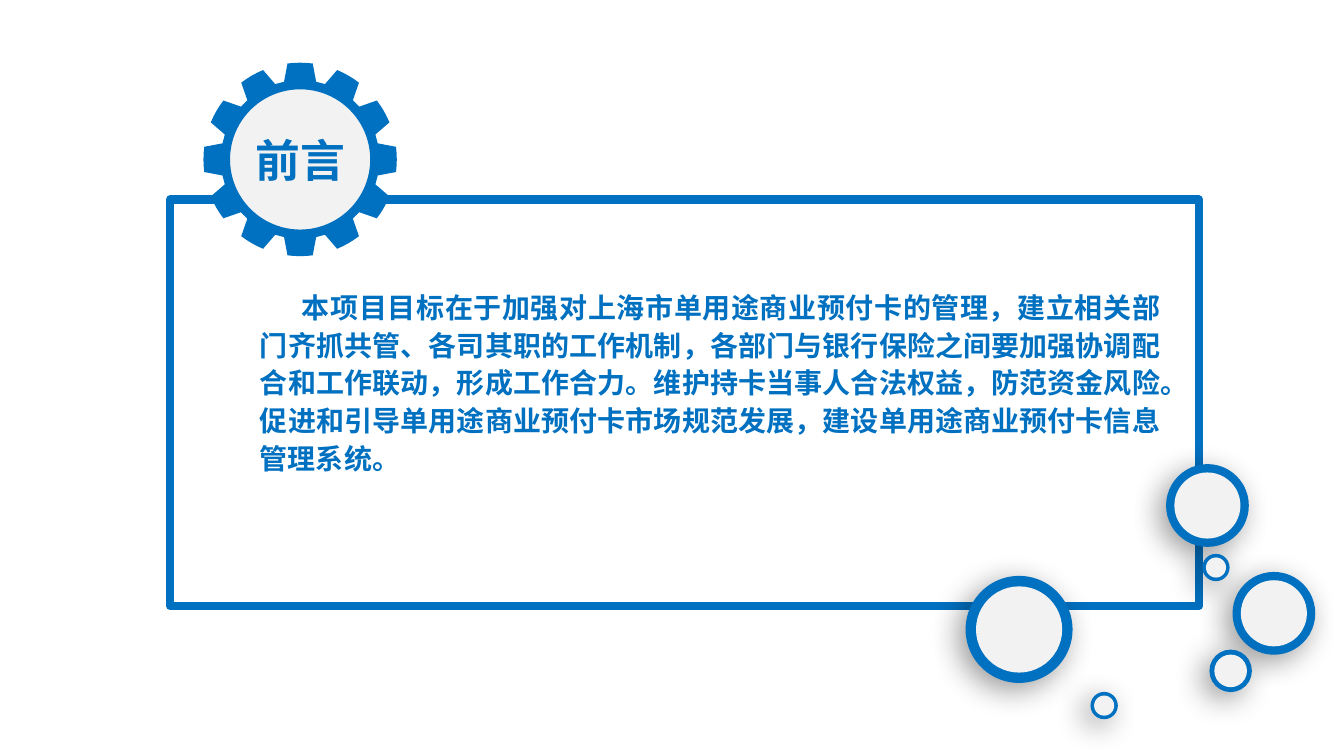
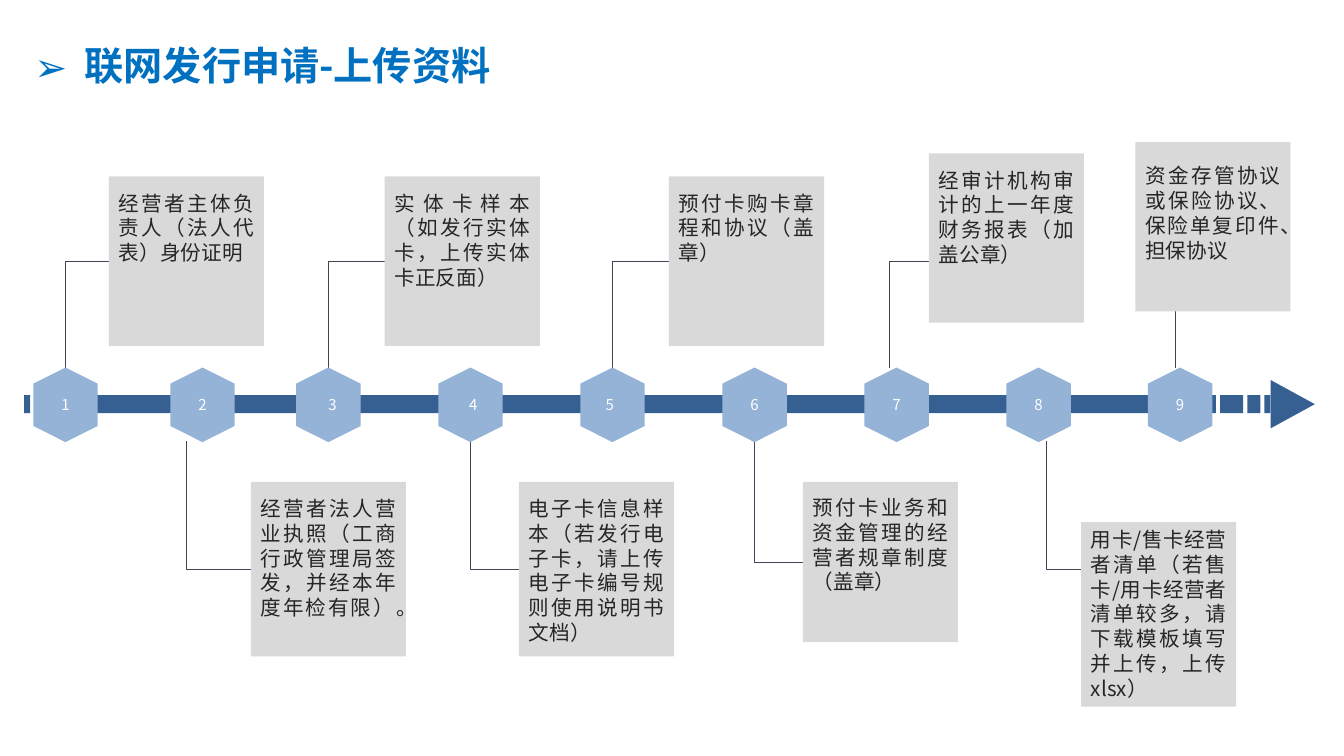
from dataclasses import dataclass
from math import cos, radians, sin
from typing import Optional

from lxml.etree import SubElement
from pptx import Presentation
from pptx.dml.color import RGBColor
from pptx.enum.shapes import MSO_CONNECTOR as Link, MSO_SHAPE as Preset
from pptx.enum.text import MSO_ANCHOR as Anchor, MSO_AUTO_SIZE as AutoSize, PP_ALIGN as Align
from pptx.oxml.ns import qn
from pptx.util import Pt


@dataclass(frozen=True)
class Theme:
    """Colours, font and type sizes shared by the slides."""
    blue: str = "0070C0"
    pale: str = "F2F2F2"
    axis: str = "376092"
    node: str = "95B3D7"
    card: str = "D9D9D9"
    ink: str = "262626"
    stem: str = "414455"
    white: str = "FFFFFF"
    face: str = "Noto Sans CJK SC"
    badge_size: float = 32
    title_size: float = 28
    body_size: float = 20
    card_size: float = 14.7
    number_size: float = 10.7


@dataclass(frozen=True)
class Box:
    """A rectangle in points."""
    left: float
    top: float
    width: float
    height: float

    def within(self, dx, dy, width, height):
        """Return a box offset from this one's corner."""
        return Box(self.left + dx, self.top + dy, width, height)

    def centred(self, cx, cy, width, height):
        """Return a box centred on a point offset from this one's corner."""
        return self.within(cx - width / 2, cy - height / 2, width, height)

    def emu(self):
        """Return the four lengths for python-pptx."""
        return Pt(self.left), Pt(self.top), Pt(self.width), Pt(self.height)


@dataclass(frozen=True)
class Step:
    """One numbered document on the timeline, in offsets from its box."""
    centre: float
    card_left: float
    card_top: float
    card_height: float
    elbow: Optional[float]
    text: str
    stem_shift: float = 0
    number_shift: float = 0
    text_top: float = 10.1


THEME = Theme()
SLIDE = Box(0, 0, 960.5, 540)
PREFACE = ("本项目目标在于加强对上海市单用途商业预付卡的管理，建立相关部门齐抓共管、各司其职的工作机制，"
           "各部门与银行保险之间要加强协调配合和工作联动，形成工作合力。维护持卡当事人合法权益，"
           "防范资金风险。促进和引导单用途商业预付卡市场规范发展，建设单用途商业预付卡信息管理系统。")
BUBBLES = [(219.2, 105.5, 56.9), (188.3, 146.6, 28.1), (37.1, 117, 74.2),
           (97.9, 171.4, 17.3), (171.7, 28.5, 56.9), (177.8, 72.8, 17.3)]
AXIS_BARS = [(0, 4.3), (7.9, 9.4), (20.2, 16.6), (41, 810.7),
             (854.6, 16.6), (874.1, 9.4), (886.3, 4.3)]
AXIS_Y = 187.2
CARD_WIDTH = 110.9
STEPS = [
    Step(29.5, 60.5, 24.5, 121, 85, "经营者主体负责人（法人代表）身份证明"),
    Step(127.4, 162, 242.7, 124.6, 305.3,
         "经营者法人营业执照（工商行政管理局签发，并经本年度年检有限）。", stem_shift=-11.5),
    Step(217.4, 257.7, 24.5, 121, 85,
         "实体卡样本（如发行实体卡，上传实体卡正反面）", number_shift=3),
    Step(318.9, 353.5, 242.7, 124.6, 305.3,
         "电子卡信息样本（若发行电子卡，请上传电子卡编号规则使用说明书文档）", number_shift=2),
    Step(420.4, 460.8, 24.5, 121, 85, "预付卡购卡章程和协议（盖章）", number_shift=-2),
    Step(521.9, 556.5, 242.7, 114.5, 300.3,
         "预付卡业务和资金管理的经营者规章制度（盖章）", text_top=9.4),
    Step(623.4, 646.5, 8, 121, 85,
         "经审计机构审计的上一年度财务报表（加盖公章）", stem_shift=-5),
    Step(724.9, 755.3, 271.5, 131.8, 305.3,
         "用卡/售卡经营者清单（若售卡/用卡经营者清单较多，请下载模板填写并上传，上传xlsx）",
         stem_shift=5.8, text_top=3.6),
    Step(826, 794.1, 0, 121, None,
         "资金存管协议或保险协议、保险单复印件、担保协议", stem_shift=-2.9, text_top=15.1),
]


def paint(shape, fill=None, line=None, weight=1.0):
    """Set fill and outline and drop the inherited shadow."""
    shape.shadow.inherit = False
    if fill:
        shape.fill.solid()
        shape.fill.fore_color.rgb = RGBColor.from_string(fill)
    else:
        shape.fill.background()
    if line:
        shape.line.color.rgb = RGBColor.from_string(line)
        shape.line.width = Pt(weight)
    else:
        shape.line.fill.background()
    return shape


def add_preset(slide, preset, box, fill=None, line=None, weight=1.0):
    """Add a painted preset shape."""
    return paint(slide.shapes.add_shape(preset, *box.emu()), fill, line, weight)


def write(shape, text, size, colour, align, bold=False, insets=(7.2, 3.6),
          anchor=Anchor.TOP, bullet=None, hanging=0, first_line=0):
    """Fill a shape with one formatted paragraph and return it."""
    frame = shape.text_frame
    frame.word_wrap = True
    frame.auto_size = AutoSize.NONE
    frame.vertical_anchor = anchor
    frame.margin_left = frame.margin_right = Pt(insets[0])
    frame.margin_top = frame.margin_bottom = Pt(insets[1])
    paragraph = frame.paragraphs[0]
    paragraph.text = text
    paragraph.alignment = align
    properties = paragraph._p.get_or_add_pPr()
    properties.set("marL", str(Pt(hanging)))
    properties.set("indent", str(Pt(first_line - hanging)))
    if bullet:
        SubElement(properties, qn("a:buFont"), typeface=THEME.face)
        SubElement(properties, qn("a:buChar"), char=bullet)
    font = paragraph.font
    font.size, font.bold, font.name = Pt(size), bold, THEME.face
    font.color.rgb = RGBColor.from_string(colour)
    SubElement(properties.find(qn("a:defRPr")), qn("a:ea"), typeface=THEME.face)
    return paragraph


def set_title(slide, box, text, size, align, **style):
    """Place the title placeholder in front and format it."""
    title = slide.shapes.title
    title.left, title.top, title.width, title.height = box.emu()
    write(title, text, size, THEME.blue, align, bold=True, anchor=Anchor.MIDDLE, **style)
    title.element.getparent().append(title.element)


def add_preface(slide, box):
    """Draw the framed preface text."""
    add_preset(slide, Preset.RECTANGLE, box, line=THEME.blue, weight=6)
    body = slide.shapes.add_textbox(*box.within(54.7, 56.8, 662.4, 185).emu())
    paragraph = write(body, PREFACE, THEME.body_size, THEME.blue, Align.JUSTIFY,
                      bold=True, insets=(9.4, 5), first_line=30)
    paragraph.line_spacing = Pt(27)
    paragraph.space_after = Pt(12)


def add_gear(slide, box, teeth=12):
    """Draw a toothed wheel with a pale disc."""
    radius = box.width / 2
    profile = [(-11.7, 0.82), (-7.5, 1), (-3.75, 1), (0, 1), (3.75, 1), (7.5, 1), (11.7, 0.82)]
    outline = []
    for tooth in range(teeth):
        for turn, reach in profile:
            angle = radians(tooth * 360 / teeth + turn)
            outline.append((Pt(box.left + radius * (1 + reach * sin(angle))),
                            Pt(box.top + radius * (1 - reach * cos(angle)))))
    builder = slide.shapes.build_freeform(*outline[0], scale=1.0)
    builder.add_line_segments(outline[1:], close=True)
    paint(builder.convert_to_shape(), THEME.blue)
    disc = box.centred(radius, radius, 102.2, 102.2)
    add_preset(slide, Preset.OVAL, disc, THEME.pale, THEME.blue, 2)


def cast_shadow(shape):
    """Give a shape a soft shadow to the lower left."""
    effects = shape.element.spPr.find(qn("a:effectLst"))
    shadow = SubElement(effects, qn("a:outerShdw"), blurRad=str(Pt(22)), dist=str(Pt(7)),
                        dir=str(135 * 60000), algn="tr", rotWithShape="0")
    black = SubElement(shadow, qn("a:srgbClr"), val="000000")
    SubElement(black, qn("a:alpha"), val="40000")


def add_bubbles(slide, box):
    """Draw the ringed bubbles."""
    for cx, cy, size in BUBBLES:
        ring = add_preset(slide, Preset.OVAL, box.centred(cx, cy, size, size),
                          THEME.blue, THEME.blue, 2.25)
        cast_shadow(ring)
        core = size * 0.83
        add_preset(slide, Preset.OVAL, box.centred(cx, cy, core, core), THEME.pale)


def add_axis(slide, box):
    """Draw the segmented bar and its arrowhead."""
    for dx, width in AXIS_BARS:
        add_preset(slide, Preset.RECTANGLE, box.within(dx, AXIS_Y - 6.5, width, 13), THEME.axis)
    head = add_preset(slide, Preset.ISOSCELES_TRIANGLE,
                      box.centred(906.5, AXIS_Y, 34.6, 31.7), THEME.axis)
    head.rotation = 90


def add_stem(slide, box, step):
    """Join a card to its node."""
    stem_x = step.centre + step.stem_shift
    above = step.card_top < AXIS_Y
    node_y = AXIS_Y + (-26 if above else 26)
    if step.elbow is None:
        kind, start = Link.STRAIGHT, (stem_x, step.card_top + step.card_height)
    else:
        kind, start = Link.ELBOW, (step.card_left, step.elbow)
    stem = slide.shapes.add_connector(
        kind, Pt(box.left + start[0]), Pt(box.top + start[1]),
        Pt(box.left + stem_x), Pt(box.top + node_y))
    if kind == Link.ELBOW:
        stem._element.spPr.find(qn("a:prstGeom")).set("prst", "bentConnector2")
    stem.line.color.rgb = RGBColor.from_string(THEME.stem)
    stem.line.width = Pt(0.75)
    SubElement(stem._element.spPr, qn("a:effectLst"))


def add_step(slide, box, number, step):
    """Draw one stem, numbered node and card."""
    add_stem(slide, box, step)
    node = add_preset(slide, Preset.HEXAGON,
                      box.centred(step.centre, AXIS_Y + 0.5, 53.3, 46.1), THEME.node)
    node.rotation = 90
    label = slide.shapes.add_textbox(
        *box.centred(step.centre + step.number_shift, AXIS_Y, 54, 20.2).emu())
    write(label, str(number), THEME.number_size, THEME.white, Align.CENTER, anchor=Anchor.MIDDLE)
    card = add_preset(slide, Preset.RECTANGLE,
                      box.within(step.card_left, step.card_top, CARD_WIDTH, step.card_height),
                      THEME.card)
    write(card, step.text, THEME.card_size, THEME.ink, Align.JUSTIFY, insets=(7.2, step.text_top))
    card.text_frame.margin_bottom = 0


def build_preface_slide(slide, box):
    """Compose the preface slide."""
    add_preface(slide, box.within(121.7, 142.6, 735.1, 290.2))
    add_gear(slide, box.within(145.4, 44.8, 138.2, 138.2))
    add_bubbles(slide, box.within(691.2, 332.6, 255.6, 180))
    set_title(slide, box.within(156.2, 94.3, 117.4, 38.9), "前言",
              THEME.badge_size, Align.CENTER, insets=(0, 0))


def build_upload_slide(slide, box):
    """Compose the upload timeline slide."""
    set_title(slide, box.within(17.3, 25.9, 410.4, 41), "联网发行申请-上传资料",
              THEME.title_size, Align.LEFT, bullet="➢", hanging=36)
    timeline = box.within(17.3, 101.5, 922.4, 403.3)
    add_axis(slide, timeline)
    for number, step in enumerate(STEPS, 1):
        add_step(slide, timeline, number, step)


def main():
    """Build and save the presentation."""
    deck = Presentation()
    deck.slide_width, deck.slide_height = Pt(SLIDE.width), Pt(SLIDE.height)
    title_only = deck.slide_layouts[5]
    for build in (build_preface_slide, build_upload_slide):
        build(deck.slides.add_slide(title_only), SLIDE)
    deck.save("out.pptx")


if __name__ == "__main__":
    main()
